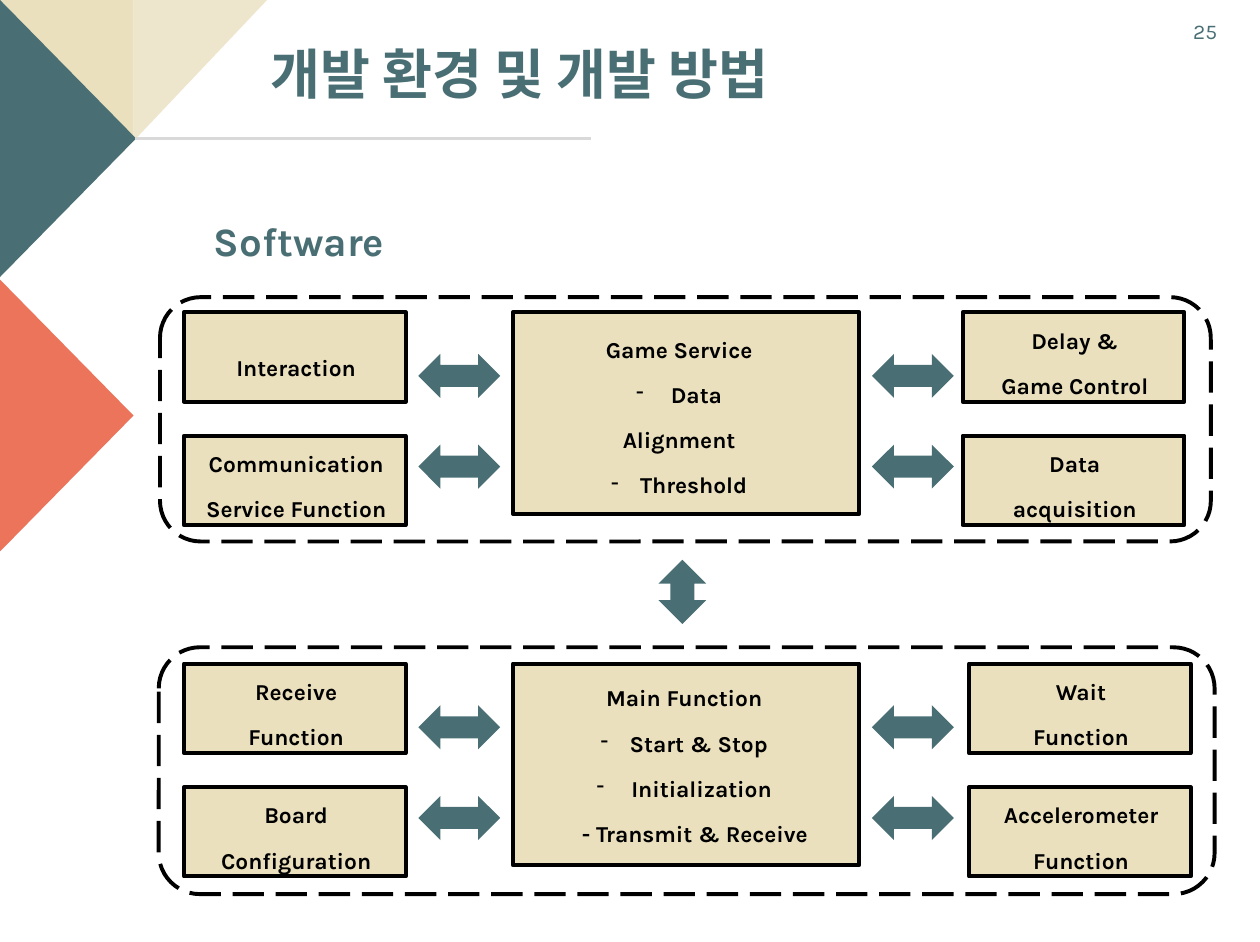
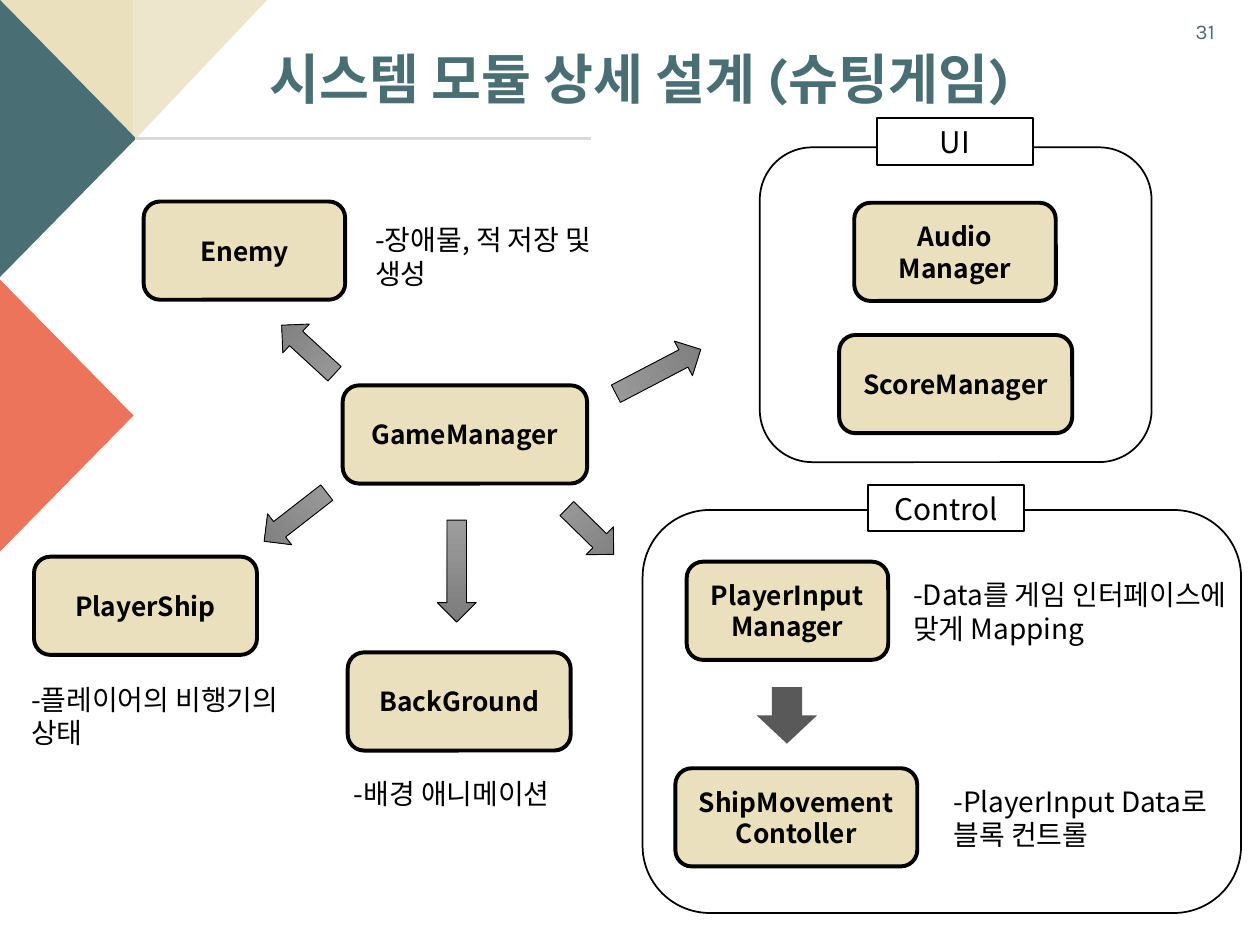
from lxml.etree import SubElement as Sub
from pptx import Presentation
from pptx.dml.color import RGBColor
from pptx.enum.dml import MSO_LINE as Dash
from pptx.enum.shapes import MSO_CONNECTOR as Wire, MSO_SHAPE as Kind
from pptx.enum.text import MSO_ANCHOR as Anchor, PP_ALIGN as Align
from pptx.oxml.ns import qn
from pptx.util import Inches, Pt

TEAL, SAND, CREAM, CORAL = "496F74", "EAE0BE", "EEE6CC", "EC745B"
BLACK, WHITE, GREY = "000000", "FFFFFF", "D9D9D9"
KARLA, NOTO = "Karla", "Noto Sans CJK KR"
hue = RGBColor.from_string


def put(page, text, box, host=None, size=13, font=NOTO, color=BLACK, bold=False,
        align=Align.CENTER, lead=None, dash=(), left={}):
    if host is None:
        host = page.shapes.add_textbox(*map(Inches, box))
    frame = host.text_frame
    frame.word_wrap = True
    for i, line in enumerate(text.split("\n")):
        para = frame.add_paragraph() if i else frame.paragraphs[0]
        para.text = line
        para.alignment = Align.LEFT if i in left else align
        if lead:
            para.line_spacing = lead
        prop = para._p.get_or_add_pPr()
        if i in left:
            prop.set("marL", str(Inches(left[i])))
        if i in dash:
            prop.set("marL", str(Inches(0.23)))
            prop.set("indent", str(Inches(-0.23)))
            Sub(prop, qn("a:buChar")).set("char", "-")
        for run in para.runs:
            run.font.size = Pt(size)
            run.font.bold = bold
            run.font.color.rgb = hue(color)
            run.font.name = font
            Sub(run._r.get_or_add_rPr(), qn("a:ea")).set("typeface", NOTO)


def draw(page, kind, box, fill=None, line=None, width=2.25, turn=0):
    shape = page.shapes.add_shape(kind, *map(Inches, box))
    shape.shadow.inherit = False
    shape.rotation = turn
    if fill:
        shape.fill.solid()
        shape.fill.fore_color.rgb = hue(fill)
    else:
        shape.fill.background()
    if line:
        shape.line.color.rgb = hue(line)
        shape.line.width = Pt(width)
    else:
        shape.line.fill.background()
    return shape


deck = Presentation()
deck.slide_width, deck.slide_height = Inches(10), Inches(7.48)

heads = [
    ("개발 환경 및 개발 방법", (2.05, 0.33, 5.52, 0.59), NOTO, "25"),
    ("시스템 모듈 상세 설계 (슈팅게임)", (2.04, 0.37, 6.57, 0.58), KARLA, "31"),
]
pages = []
for title, box, font, num in heads:
    page = deck.slides.add_slide(deck.slide_layouts[6])
    pages.append(page)
    draw(page, Kind.RIGHT_TRIANGLE, (0, 0, 1.06, 1.12), SAND, turn=180)
    wing = draw(page, Kind.RIGHT_TRIANGLE, (1.06, 0, 1.06, 1.12), CREAM, turn=180)
    wing._element.spPr.xfrm.set("flipH", "1")
    draw(page, Kind.ISOSCELES_TRIANGLE, (-0.56, 0.56, 2.2, 1.08), TEAL, turn=90)
    draw(page, Kind.ISOSCELES_TRIANGLE, (-0.58, 2.76, 2.2, 1.08), CORAL, turn=90)
    put(page, title, box, size=31, font=font, color=TEAL, bold=True,
        align=Align.LEFT, lead=0.9)
    rule = page.shapes.add_connector(Wire.STRAIGHT, *map(Inches, (1.07, 1.1, 4.69, 1.1)))
    rule.line.color.rgb = hue(GREY)
    rule.line.width = Pt(1.5)
    Sub(rule._element.spPr, qn("a:effectLst"))
    put(page, num, (9.13, 0.1, 0.87, 0.3), size=12, font=KARLA, color=TEAL)

soft, game = pages

put(soft, "Software", (1.6, 1.71, 4.66, 0.69), size=23, font=KARLA, color=TEAL,
    bold=True, align=Align.LEFT, lead=0.9)
body = dict(font=KARLA, bold=True, lead=Pt(25.9))
groups = [
    (2.48, (1.27, 2.36, 8.34, 1.94), 7.64,
     ["Interaction", "Communication\vService Function"],
     ["Delay &\vGame Control", "Data\vacquisition"],
     "Game Service\n Data\nAlignment\nThreshold", (4.21, 2.47, 2.36, 1.92), (1, 3), {}),
    (5.27, (1.26, 5.14, 8.38, 1.96), 7.69,
     ["Receive\vFunction", "Board\vConfiguration"],
     ["Wait\vFunction", "Accelerometer\vFunction"],
     "Main Function\nStart & Stop\n Initialization\n- Transmit & Receive",
     (4.06, 5.24, 2.74, 1.92), (1, 2), {3: 0.46}),
]
for top, ring, right, west, east, core, box, dash, left in groups:
    draw(soft, Kind.RECTANGLE, (4.07, top, 2.75, 1.6), SAND, BLACK)
    put(soft, core, box, dash=dash, left=left, **body)
    for x, names in ((1.46, west), (right, east)):
        for i, name in enumerate(names):
            y = top + 0.98 * i
            draw(soft, Kind.RECTANGLE, (x, y, 1.76, 0.71), SAND, BLACK)
            drop = -0.08 if "\v" in name else 0.14
            put(soft, name, (x - 0.14, y + drop, 2.06, 1.19), **body)
    for x in (3.32, 6.92):
        for i in range(2):
            draw(soft, Kind.LEFT_RIGHT_ARROW, (x, top + 0.33 + 0.72 * i, 0.65, 0.35), TEAL)
    draw(soft, Kind.ROUNDED_RECTANGLE, ring, None, BLACK).line.dash_style = Dash.LONG_DASH
draw(soft, Kind.LEFT_RIGHT_ARROW, (5.16, 4.51, 0.51, 0.38), TEAL, turn=90)

zones = [
    ("UI", (6.03, 1.17, 3.11, 2.5), (6.96, 0.94, 1.24, 0.37)),
    ("Control", (5.1, 4.05, 4.75, 3.2), (6.89, 3.85, 1.24, 0.37)),
]
for name, ring, tab in zones:
    draw(game, Kind.ROUNDED_RECTANGLE, ring, None, BLACK, 1)
    sign = draw(game, Kind.RECTANGLE, tab, WHITE, BLACK, 1)
    sign.text_frame.vertical_anchor = Anchor.MIDDLE
    put(game, name, tab, sign, size=17)

nodes = [
    ("Enemy", 1.14, 1.6, 1.6),
    ("GameManager", 2.72, 3.06, 1.94),
    ("PlayerShip", 0.27, 4.42, 1.77),
    ("BackGround", 2.76, 5.18, 1.77),
    ("Audio\nManager", 6.78, 1.61, 1.6),
    ("ScoreManager", 6.66, 2.66, 1.85),
    ("PlayerInput\vManager", 5.45, 4.46, 1.6),
    ("ShipMovement\vContoller", 5.36, 6.1, 1.92),
]
for name, x, y, wide in nodes:
    box = (x, y, wide, 0.78)
    node = draw(game, Kind.ROUNDED_RECTANGLE, box, SAND, BLACK)
    node.text_frame.vertical_anchor = Anchor.MIDDLE
    put(game, name, box, node, size=15, bold=True)

notes = [
    ("-장애물, 적 저장 및 생성", (2.88, 1.72, 2.22, 0.64)),
    ("-플레이어의 비행기의 상태", (0.15, 5.37, 2.19, 0.64)),
    ("-배경 애니메이션", (2.71, 6.12, 2.19, 0.37)),
    ("-Data를 게임 인터페이스에 맞게 Mapping", (7.15, 4.54, 2.8, 0.64)),
    ("-PlayerInput Data로 블록 컨트롤", (7.47, 6.18, 2.47, 0.64)),
]
for text, box in notes:
    put(game, text, box, size=16, align=Align.LEFT)

links = [
    (2.29, 2.49, 0.57, 132.6),
    (2.19, 3.79, 0.63, 52.1),
    (5.07, 2.57, 0.76, 242.4),
    (4.53, 3.96, 0.52, 314.4),
    (3.47, 4.13, 0.81, 0),
]
for x, y, tall, turn in links:
    link = draw(game, Kind.DOWN_ARROW, (x, y, 0.31, tall), None, BLACK, 0.5, turn)
    link.fill.gradient()
    link.fill.gradient_angle = 270
    for stop, tone in zip(link.fill.gradient_stops, ("9D9D9D", "7C7C7C")):
        stop.color.rgb = hue(tone)
draw(game, Kind.RIGHT_ARROW, (6.02, 5.44, 0.45, 0.48), "595959", turn=90)

deck.save("out.pptx")
